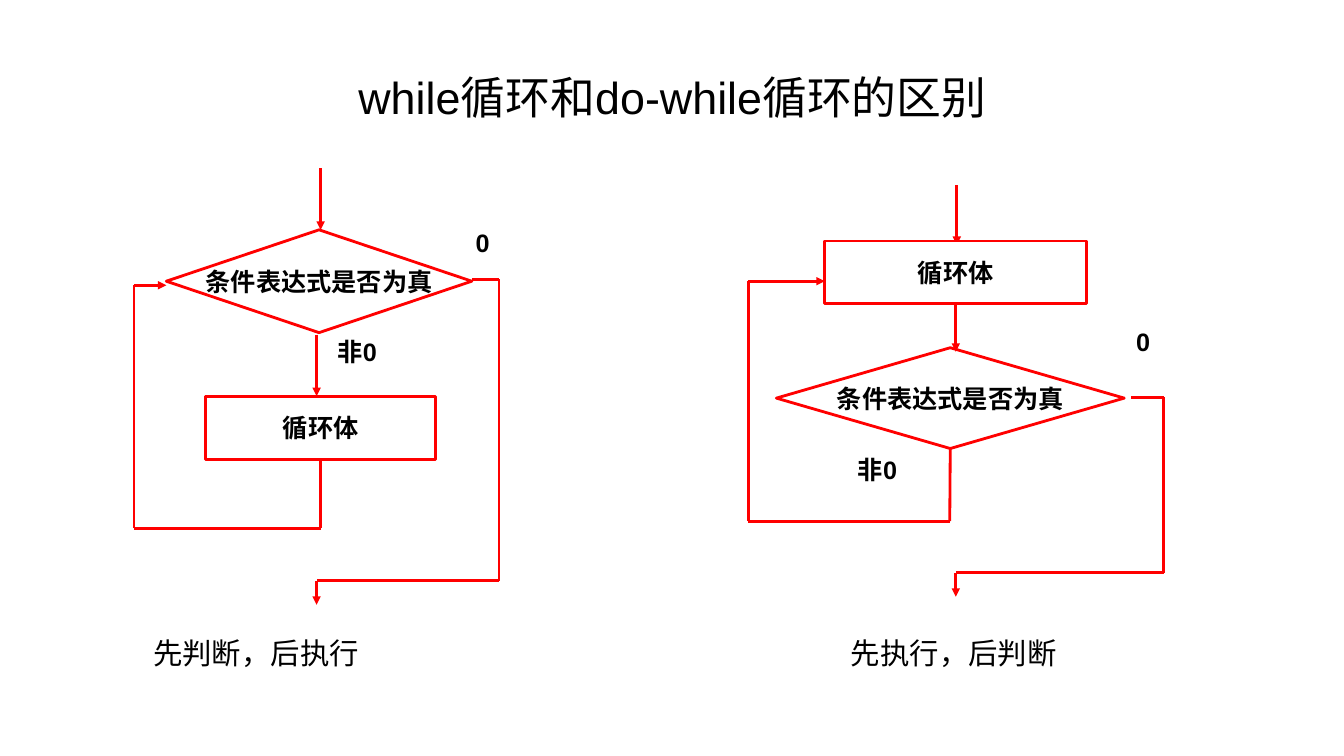
from itertools import pairwise

from lxml.etree import SubElement
from pptx import Presentation
from pptx.dml.color import RGBColor
from pptx.enum.shapes import MSO_CONNECTOR, MSO_SHAPE
from pptx.enum.text import MSO_ANCHOR, MSO_AUTO_SIZE, PP_ALIGN
from pptx.oxml.ns import qn
from pptx.util import Inches, Pt


def colour(value):
    return RGBColor.from_string(value)


class FlowSlide:
    font = "Arial"
    ink = "000000"
    paper = "FFFFFF"
    accent = "FF0000"
    line_width = Pt(2)

    def __init__(self, deck):
        self.slide = deck.slides.add_slide(deck.slide_layouts[5])

    def set_wording(self, shape, text, size, bold=False, align=PP_ALIGN.LEFT,
                    anchor=MSO_ANCHOR.TOP, wrap=False):
        frame = shape.text_frame
        frame.text = text
        frame.word_wrap = wrap
        frame.vertical_anchor = anchor
        paragraph = frame.paragraphs[0]
        paragraph.alignment = align
        for run in paragraph.runs:
            run.font.name = self.font
            run.font.size = Pt(size)
            run.font.bold = bold
            run.font.color.rgb = colour(self.ink)

    def title(self, text, left, top, width, height):
        heading = self.slide.shapes.title
        heading.left, heading.top = Inches(left), Inches(top)
        heading.width, heading.height = Inches(width), Inches(height)
        self.set_wording(heading, text, 32, align=PP_ALIGN.CENTER,
                         anchor=MSO_ANCHOR.MIDDLE, wrap=True)

    def step(self, kind, text, left, top, width, height):
        box = self.slide.shapes.add_shape(
            kind, Inches(left), Inches(top), Inches(width), Inches(height))
        box.shadow.inherit = False
        box.fill.solid()
        box.fill.fore_color.rgb = colour(self.paper)
        box.line.color.rgb = colour(self.accent)
        box.line.width = self.line_width
        self.set_wording(box, text, 18, True, PP_ALIGN.CENTER, MSO_ANCHOR.MIDDLE)
        return box

    def label(self, text, left, top, width, height=0.4, size=18, bold=True):
        note = self.slide.shapes.add_textbox(
            Inches(left), Inches(top), Inches(width), Inches(height))
        self.set_wording(note, text, size, bold)
        note.text_frame.auto_size = MSO_AUTO_SIZE.SHAPE_TO_FIT_TEXT

    def route(self, *points, source=None):
        for start, end in pairwise(points):
            leg = self.slide.shapes.add_connector(
                MSO_CONNECTOR.STRAIGHT, *map(Inches, start + end))
            leg.line.color.rgb = colour(self.accent)
            leg.line.width = self.line_width
            if source is not None and start == points[0]:
                leg.begin_connect(source, 2)
            properties = leg._element.spPr
            if end == points[-1]:
                SubElement(properties.find(qn("a:ln")), qn("a:tailEnd"), type="triangle")
            SubElement(properties, qn("a:effectLst"))


def draw_while(page):
    page.step(MSO_SHAPE.FLOWCHART_DECISION, "条件表达式是否为真", 1.65, 2.28, 3.03, 1.02)
    page.route((3.18, 1.67), (3.18, 2.28))
    page.route((3.14, 3.32), (3.14, 3.93))
    body = page.step(MSO_SHAPE.RECTANGLE, "循环体", 2.04, 3.93, 2.28, 0.63)
    page.route((3.18, 4.56), (3.18, 5.24), (1.33, 5.24), (1.33, 2.83), (1.65, 2.83),
               source=body)
    page.label("非0", 3.25, 3.29, 0.65)
    page.label("0", 4.62, 2.21, 0.34)
    page.route((4.68, 2.77), (4.95, 2.77), (4.95, 5.76), (3.14, 5.76), (3.14, 6))
    page.label("先判断，后执行", 1.42, 6.25, 2.24, 0.45, 21, False)


def draw_do_while(page):
    decision = page.step(MSO_SHAPE.FLOWCHART_DECISION, "条件表达式是否为真",
                         7.7, 3.45, 3.45, 1)
    page.route((9.49, 1.84), (9.49, 2.43))
    body = page.step(MSO_SHAPE.RECTANGLE, "循环体", 8.18, 2.39, 2.6, 0.62)
    page.route((9.48, 3.01), (9.48, 3.49), source=body)
    page.route((9.42, 4.45), (9.42, 5.17), (7.42, 5.17), (7.42, 2.79), (8.18, 2.79),
               source=decision)
    page.label("非0", 8.41, 4.46, 0.65)
    page.label("0", 11.17, 3.19, 0.34)
    page.route((11.22, 3.94), (11.54, 3.94), (11.54, 5.68), (9.48, 5.68), (9.48, 5.92))
    page.label("先执行，后判断", 8.34, 6.25, 2.24, 0.45, 21, False)


def main():
    deck = Presentation()
    deck.slide_width, deck.slide_height = Inches(13.33), Inches(7.5)
    page = FlowSlide(deck)
    page.title("while循环和do-while循环的区别", 0.67, 0.33, 12, 1.25)
    draw_while(page)
    draw_do_while(page)
    deck.save("out.pptx")


if __name__ == "__main__":
    main()
